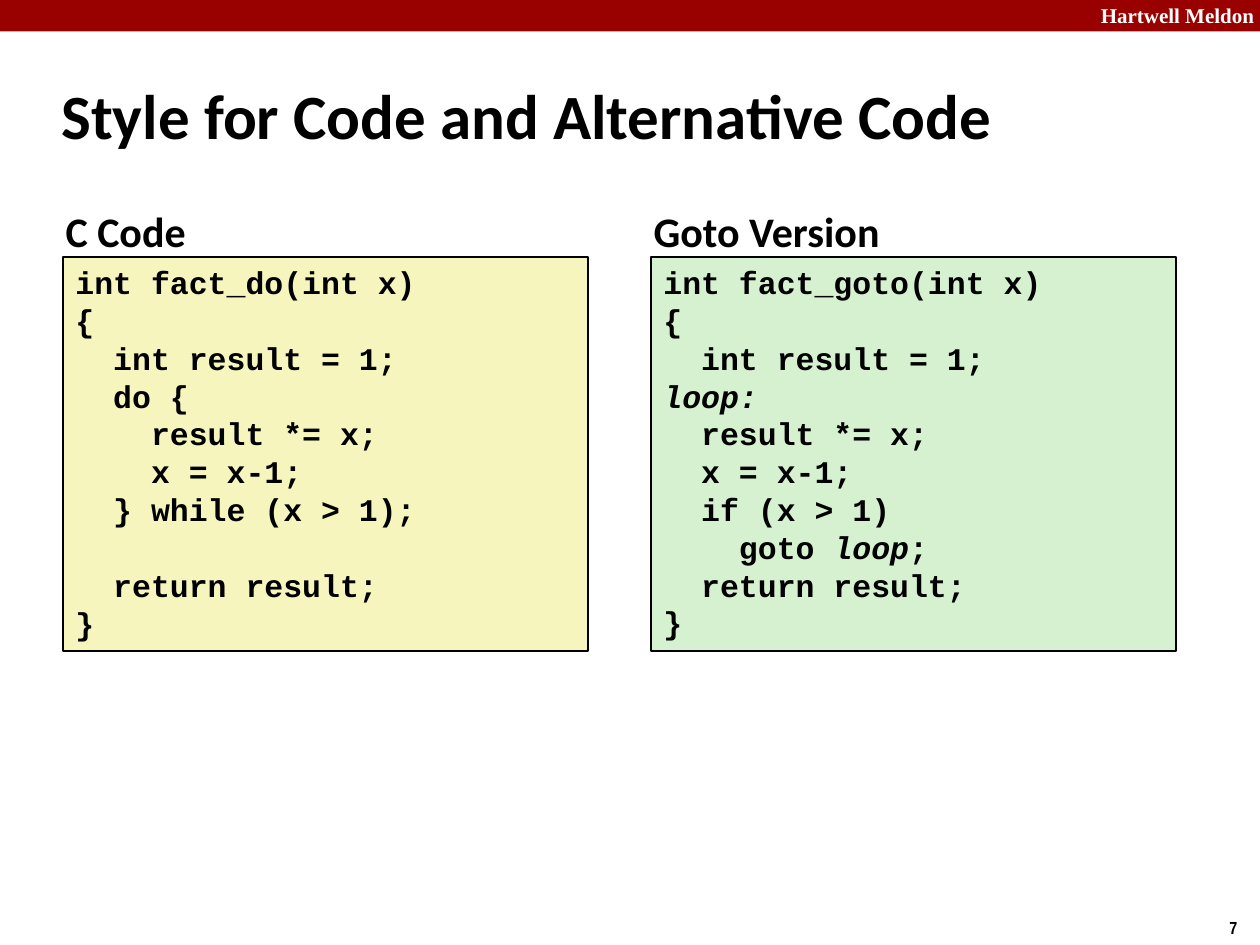
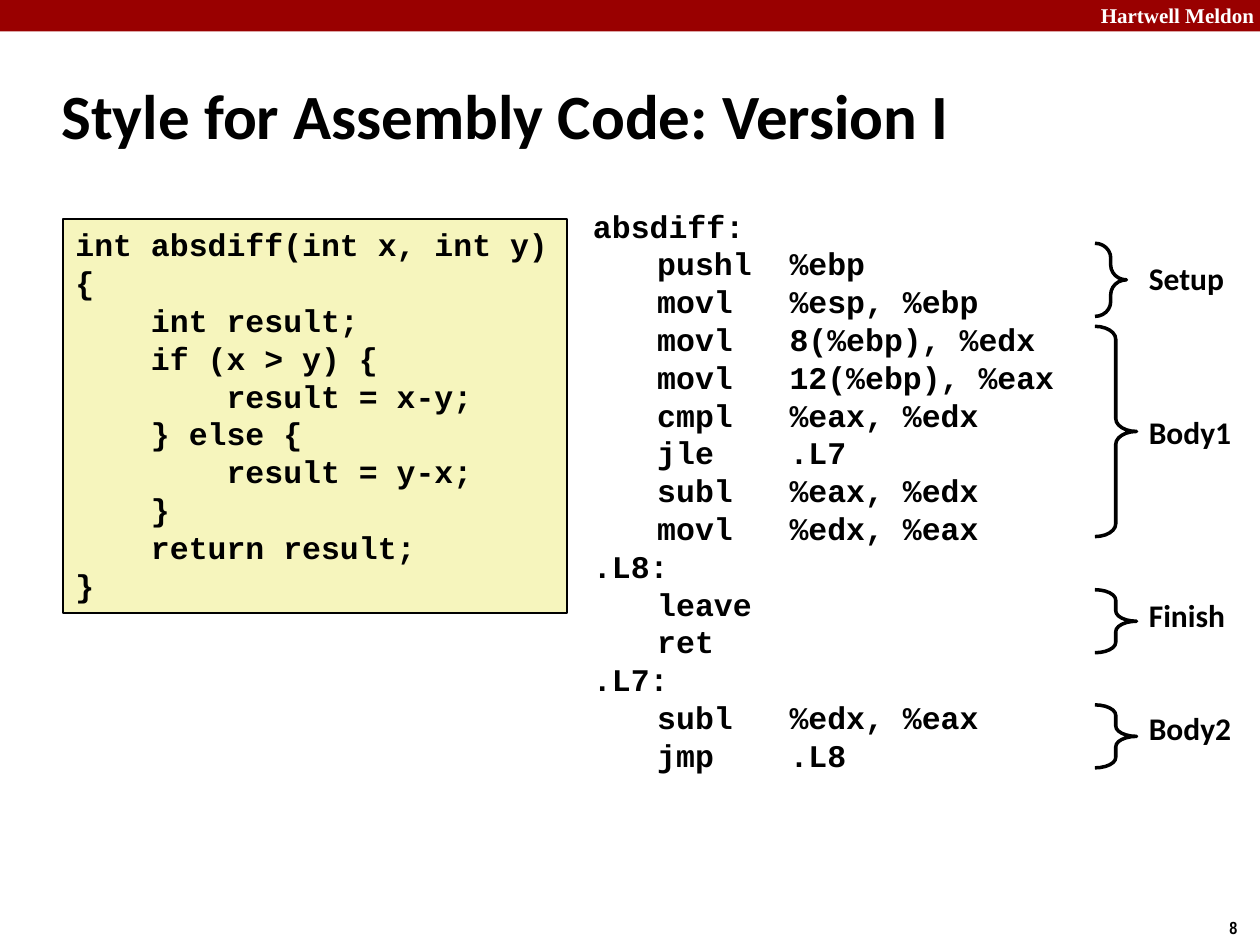
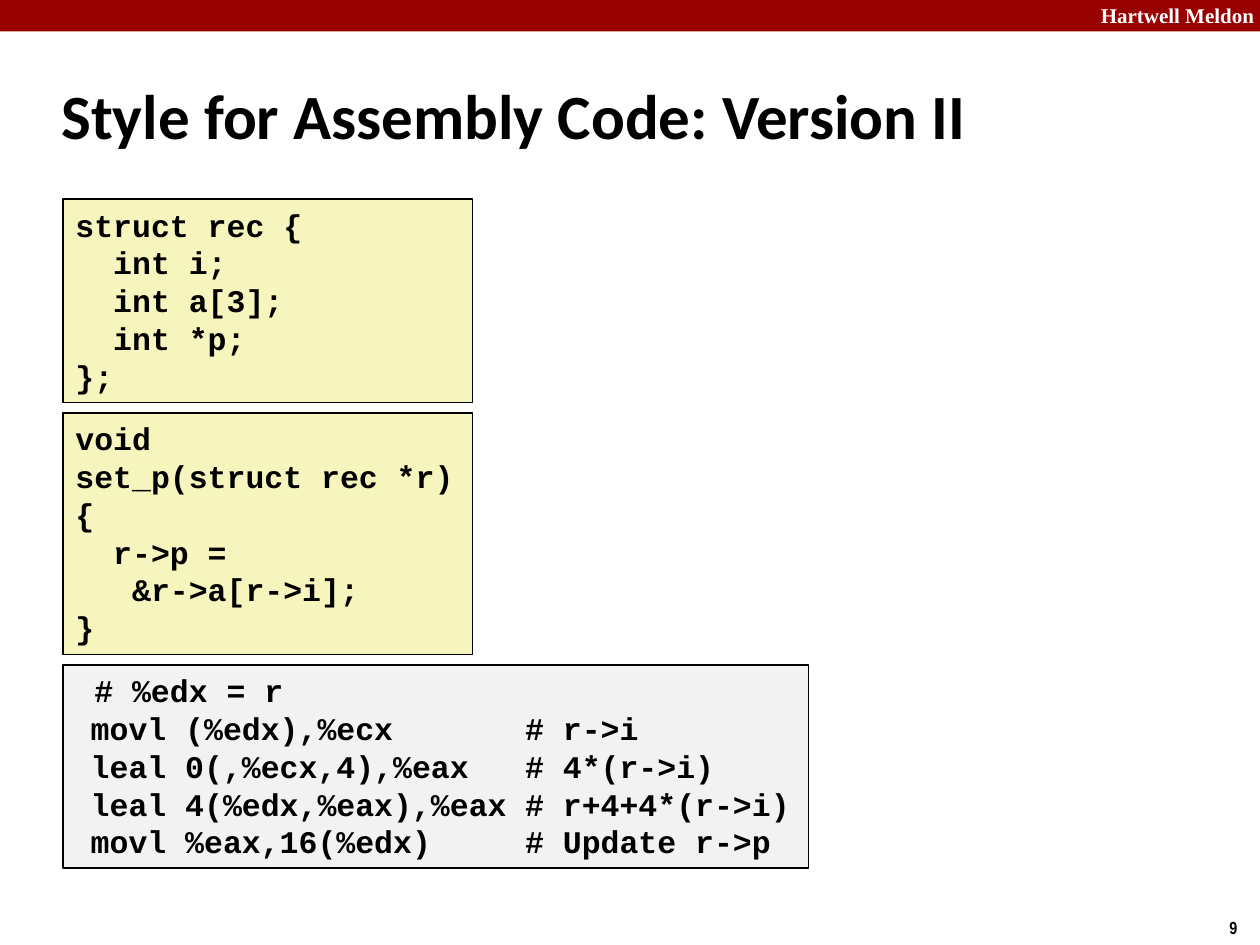
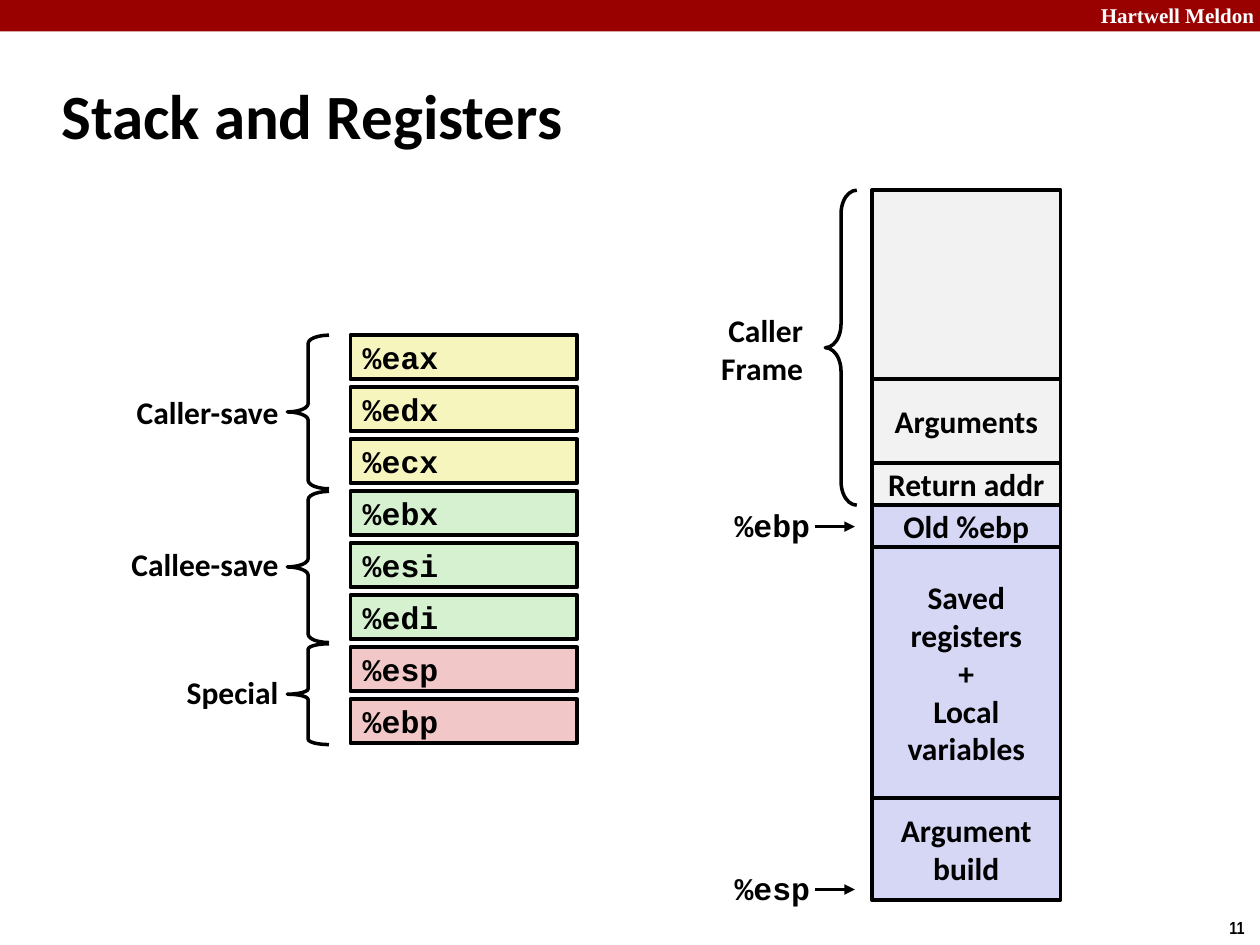
from pptx import Presentation
from pptx.dml.color import RGBColor
from pptx.enum.shapes import MSO_CONNECTOR, MSO_SHAPE
from pptx.enum.text import MSO_ANCHOR, MSO_AUTO_SIZE, PP_ALIGN
from pptx.oxml.ns import qn
from pptx.util import Pt
from lxml import etree

RECTANGLE = MSO_SHAPE.RECTANGLE
LEFT_BRACE, RIGHT_BRACE = MSO_SHAPE.LEFT_BRACE, MSO_SHAPE.RIGHT_BRACE
STRAIGHT = MSO_CONNECTOR.STRAIGHT
TOP, MIDDLE = MSO_ANCHOR.TOP, MSO_ANCHOR.MIDDLE
LEFT, CENTER, RIGHT = PP_ALIGN.LEFT, PP_ALIGN.CENTER, PP_ALIGN.RIGHT
GROW = MSO_AUTO_SIZE.SHAPE_TO_FIT_TEXT

BLACK = RGBColor(0x00, 0x00, 0x00)
WHITE = RGBColor(0xFF, 0xFF, 0xFF)
BAND_RED = RGBColor(0x99, 0x00, 0x00)
YELLOW = RGBColor(0xF6, 0xF5, 0xBD)
GREEN = RGBColor(0xD5, 0xF1, 0xCF)
PINK = RGBColor(0xF1, 0xC7, 0xC7)
LAVENDER = RGBColor(0xD6, 0xD6, 0xF5)
GRAY = RGBColor(0xF2, 0xF2, 0xF2)

BODY, CODE = "Calibri", "Courier New"
HEADER, NUMBER = "Times New Roman", "Arial Narrow"
PAGE_WIDTH, PAGE_HEIGHT = 720, 540
MARGIN = 36
CODE_LINE = 21.8  # height of one line of code
LABEL_HEIGHT = 28.8


class Slides:
    """Holds the deck, its style and the current page."""

    def __init__(self):
        """Start an empty deck."""
        self.deck = Presentation()
        self.deck.slide_width = Pt(PAGE_WIDTH)
        self.deck.slide_height = Pt(PAGE_HEIGHT)
        self.page = None

    def new_page(self, title, number):
        """Add a page with band, header, number and title."""
        self.page = self.deck.slides.add_slide(self.deck.slide_layouts[6])
        self.shape(RECTANGLE, 0, 0, PAGE_WIDTH, 18, BAND_RED, 0)
        self.text([" ".join(("Hartwell", "Meldon"))], 622, -2, 103, 21.6,
                  font=HEADER, size=12, color=WHITE)
        self.text([number], 695.5, 520.5, 24.5, 19.4, font=NUMBER, size=10, wrap=False)
        self.text([title], 28, 35.3, 598, 60, size=36, anchor=MIDDLE)

    def fill_text(self, shape, lines, font=BODY, size=18, color=BLACK, align=LEFT,
                  anchor=TOP, wrap=True, tabs=()):
        """Write lines into a shape; parts between backticks are italic."""
        frame = shape.text_frame
        frame.word_wrap = wrap
        frame.vertical_anchor = anchor
        para, skipped = None, 0
        for line in lines:
            if not line:
                skipped += CODE_LINE
                continue
            para = frame.add_paragraph() if para else frame.paragraphs[0]
            para.alignment = align
            if skipped:
                para.space_before = Pt(skipped)
                skipped = 0
            if tabs:
                self.tab_stops(para, tabs)
            for index, part in enumerate(line.split("`")):
                if part:
                    span = para.add_run()
                    span.text = part
                    span.font.name, span.font.size = font, Pt(size)
                    span.font.bold = True
                    span.font.italic = index % 2 == 1
                    span.font.color.rgb = color

    def tab_stops(self, para, tabs):
        """Give a paragraph left tab stops."""
        stops = etree.SubElement(para._p.get_or_add_pPr(), qn("a:tabLst"))
        for position in tabs:
            etree.SubElement(stops, qn("a:tab"), pos=str(Pt(position)), algn="l")

    def text(self, lines, left, top, width, height, **style):
        """Add a text box."""
        box = self.page.shapes.add_textbox(Pt(left), Pt(top), Pt(width), Pt(height))
        self.fill_text(box, lines, **style)
        if not style.get("wrap", True):
            box.text_frame.auto_size = GROW

    def shape(self, kind, left, top, width, height, fill=None, line=2):
        """Add a preset shape; no fill or no line when missing."""
        shape = self.page.shapes.add_shape(kind, Pt(left), Pt(top), Pt(width), Pt(height))
        shape.shadow.inherit = False
        if fill is None:
            shape.fill.background()
        else:
            shape.fill.solid()
            shape.fill.fore_color.rgb = fill
        if line:
            shape.line.color.rgb = BLACK
            shape.line.width = Pt(line)
        else:
            shape.line.fill.background()
        return shape

    def code(self, source, left, top, width, fill, tabs=()):
        """Add a framed listing as high as its lines."""
        lines = source.strip("\n").split("\n")
        box = self.shape(RECTANGLE, left, top, width, 7.2 + CODE_LINE * len(lines), fill, 1)
        self.fill_text(box, lines, font=CODE, tabs=tabs)

    def cell(self, lines, left, top, width, height, fill, **style):
        """Add a filled cell with text in its middle."""
        box = self.shape(RECTANGLE, left, top, width, height, fill)
        self.fill_text(box, lines, anchor=MIDDLE, wrap=False, **style)

    def brace(self, kind, left, top, width, height, curve):
        """Add a curly brace."""
        self.shape(kind, left, top, width, height).adjustments[0] = curve

    def pointer(self, name, top, arrow_y):
        """Add a register name with an arrow to the stack."""
        self.text([name], 350, top, 120, LABEL_HEIGHT, font=CODE, align=RIGHT)
        arrow = self.page.shapes.add_connector(
            STRAIGHT, Pt(466), Pt(arrow_y), Pt(488.5), Pt(arrow_y))
        arrow.line.color.rgb = BLACK
        arrow.line.width = Pt(2)
        etree.SubElement(arrow.line._get_or_add_ln(), qn("a:tailEnd"), type="triangle")
        etree.SubElement(arrow._element.spPr, qn("a:effectLst"))


FACT_DO = """
int fact_do(int x)
{
  int result = 1;
  do {
    result *= x;
    x = x-1;
  } while (x > 1);

  return result;
}
"""
FACT_GOTO = """
int fact_goto(int x)
{
  int result = 1;
`loop:`
  result *= x;
  x = x-1;
  if (x > 1)
    goto `loop`;
  return result;
}
"""
ABSDIFF = """
int absdiff(int x, int y)
{
    int result;
    if (x > y) {
        result = x-y;
    } else {
        result = y-x;
    }
    return result;
}
"""
ABSDIFF_ASSEMBLY = [
    "absdiff:", "\tpushl\t%ebp", "\tmovl\t%esp, %ebp", "\tmovl\t8(%ebp), %edx",
    "\tmovl\t12(%ebp), %eax", "\tcmpl\t%eax, %edx", "\tjle\t.L7",
    "\tsubl\t%eax, %edx", "\tmovl\t%edx, %eax", ".L8:", "\tleave", "\tret",
    ".L7:", "\tsubl\t%edx, %eax", "\tjmp\t.L8"]
STRUCT_REC = """
struct rec {
  int i;
  int a[3];
  int *p;
};
"""
SET_P = """
void
set_p(struct rec *r)
{
  r->p =
   &r->a[r->i];
}
"""
SET_P_ASSEMBLY = """
 # %edx = r
\tmovl (%edx),%ecx\t# r->i
\tleal 0(,%ecx,4),%eax\t# 4*(r->i)
\tleal 4(%edx,%eax),%eax\t# r+4+4*(r->i)
\tmovl %eax,16(%edx)\t# Update r->p
"""


def code_page(slides):
    """C code beside its goto version."""
    slides.new_page("Style for Code and Alternative Code", "7")
    for heading, source, left, fill in (("C Code", FACT_DO, MARGIN, YELLOW),
                                        ("Goto Version", FACT_GOTO, 372, GREEN)):
        slides.text([heading], left - 5.6, 113.8, 205, 32.4, size=24)
        slides.code(source, left, 146.9, 300, fill)


def assembly_page(slides):
    """C code beside assembly with its parts in braces."""
    slides.new_page("Style for Assembly Code: Version I", "8")
    slides.code(ABSDIFF, MARGIN, 125.3, 288, YELLOW)
    slides.text(ABSDIFF_ASSEMBLY, 331.8, 114.5, 388, 334, font=CODE, tabs=(36.7, 112.3))
    for name, top, width, height, curve, label_top, label_width in (
            ("Setup", 139, 18, 41.8, 0.47, 144.7, 57.6),
            ("Body1", 186.5, 23.8, 120.2, 0.31, 232.5, 62),
            ("Finish", 337, 23.8, 36, 0.25, 337, 58.3),
            ("Body2", 402.8, 23.8, 36, 0.25, 401.8, 62)):
        slides.brace(RIGHT_BRACE, 625.7, top, width, height, curve)
        slides.text([name], 649.4, label_top, label_width, LABEL_HEIGHT, wrap=False)


def commented_assembly_page(slides):
    """A struct, a function and the commented assembly."""
    slides.new_page("Style for Assembly Code: Version II", "9")
    slides.code(STRUCT_REC, MARGIN, 113.9, 234, YELLOW)
    slides.code(SET_P, MARGIN, 236, 234, YELLOW)
    slides.code(SET_P_ASSEMBLY, MARGIN, 380, 426, GRAY, tabs=(8.8, 257))


def stack_page(slides):
    """Register groups beside the stack frame."""
    slides.new_page("Stack and Registers", "11")
    top = 108.7
    for lines, height, fill in (
            ([], 108, GRAY), (["Arguments"], 48, GRAY), (["Return addr"], 24, GRAY),
            (["Old %ebp"], 24, LAVENDER),
            (["Saved", "registers", "+", "Local", "variables"], 143.3, LAVENDER),
            (["Argument", "build"], 58.3, LAVENDER)):
        slides.cell(lines, 498.2, top, 108, height, fill, align=CENTER)
        top += height
    slides.brace(LEFT_BRACE, 471.6, 108.7, 18, 180, 0.75)
    slides.text(["Caller", "Frame"], 404, 174.2, 62, 51, align=RIGHT, wrap=False)
    slides.pointer("%ebp", 285.8, 300.9)
    slides.pointer("%esp", 493.2, 508.3)

    top = 191.5
    for names, fill in ((("%eax", "%edx", "%ecx"), YELLOW),
                        (("%ebx", "%esi", "%edi"), GREEN),
                        (("%esp", "%ebp"), PINK)):
        for name in names:
            slides.cell([name], 200.2, top, 129.6, 25.2, fill, font=CODE)
            top += 29.72
    for name, top, height, curve, label_top, width in (
            ("Caller-save", 191.5, 87.8, 0.2, 221, 96.5),
            ("Callee-save", 280.8, 86.4, 0.2, 307.8, 99.4),
            ("Special", 367.9, 57.6, 0.13, 380.9, 67)):
        slides.brace(LEFT_BRACE, 164.2, top, 23.8, height, curve)
        slides.text([name], 166.3 - width, label_top, width, LABEL_HEIGHT,
                    align=RIGHT, wrap=False)


slides = Slides()
code_page(slides)
assembly_page(slides)
commented_assembly_page(slides)
stack_page(slides)
slides.deck.save("out.pptx")
